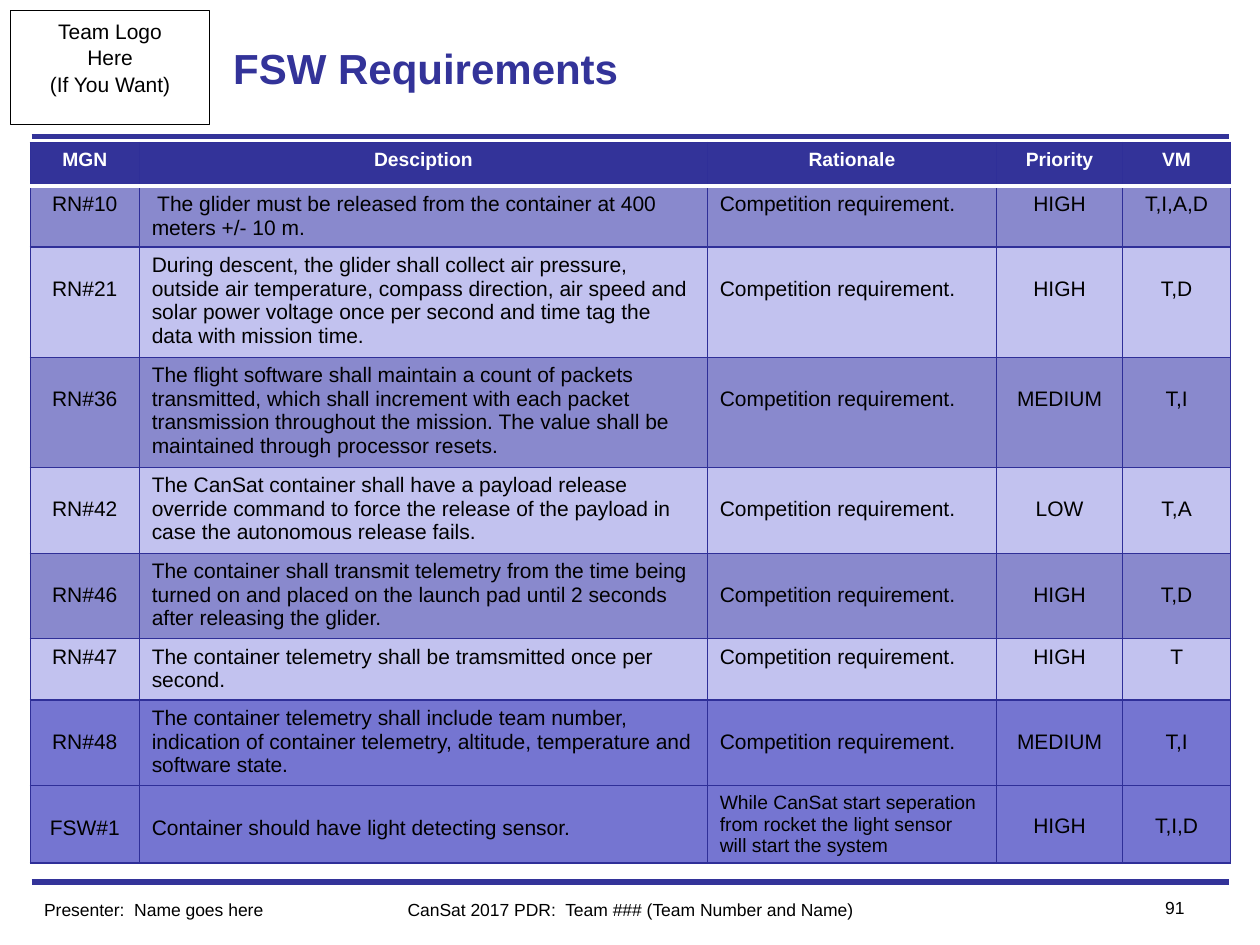
from lxml.etree import SubElement
from pptx import Presentation
from pptx.dml.color import RGBColor
from pptx.enum.shapes import MSO_CONNECTOR as Connector, MSO_SHAPE as Shape
from pptx.enum.text import MSO_ANCHOR as Anchor, MSO_AUTO_SIZE as AutoSize, PP_ALIGN as Align
from pptx.oxml.ns import qn
from pptx.util import Cm, Pt

NAVY = RGBColor(0x33, 0x33, 0x99)
GRID = RGBColor(0x2F, 0x2F, 0x98)
MID = RGBColor(0x89, 0x89, 0xCD)
LIGHT = RGBColor(0xC2, 0xC2, 0xEF)
DEEP = RGBColor(0x75, 0x75, 0xD1)
WHITE = RGBColor(0xFF, 0xFF, 0xFF)
BLACK = RGBColor(0, 0, 0)

COLUMN_WIDTHS = (2.2, 11.45, 5.83, 2.54, 2.18)
HEADINGS = ("MGN", "Desciption", "Rationale", "Priority", "VM")
COMPETITION = "Competition requirement."

# Size of the line left free above the text, per column
TOP = (0, 0, 0, 0, 0)
BESIDE = (12, 0, 12, 12, 12)
LAST = (12, 12, 0, 11, 11)

# Row height, fill, free lines, cell texts
REQUIREMENTS = (
    (1.23, MID, TOP, ("RN#10", " The glider must be released from the container at 400 "
     "meters +/- 10 m.", COMPETITION, "HIGH", "T,I,A,D")),
    (2.22, LIGHT, BESIDE, ("RN#21", "During descent, the glider shall collect air pressure, "
     "outside air temperature, compass direction, air speed and solar power voltage once per "
     "second and time tag the data with mission time.", COMPETITION, "HIGH", "T,D")),
    (2.22, MID, BESIDE, ("RN#36", "The flight software shall maintain a count of packets "
     "transmitted, which shall increment with each packet transmission throughout the mission. "
     "The value shall be maintained through processor resets.", COMPETITION, "MEDIUM", "T,I")),
    (1.73, LIGHT, BESIDE, ("RN#42", "The CanSat container shall have a payload release override "
     "command to force the release of the payload in case the autonomous release fails.",
     COMPETITION, "LOW", "T,A")),
    (1.73, MID, BESIDE, ("RN#46", "The container shall transmit telemetry from the time being "
     "turned on and placed on the launch pad until 2 seconds after releasing the glider.",
     COMPETITION, "HIGH", "T,D")),
    (1.23, LIGHT, TOP, ("RN#47", "The container telemetry shall be tramsmitted once per second.",
     COMPETITION, "HIGH", "T")),
    (1.73, DEEP, BESIDE, ("RN#48", "The container telemetry shall include team number, "
     "indication of container telemetry, altitude, temperature and software state.",
     COMPETITION, "MEDIUM", "T,I")),
    (1.55, DEEP, LAST, ("FSW#1", "Container should have light detecting sensor.",
     "While CanSat start seperation from rocket the light sensor will start the system",
     "HIGH", "T,I,D")),
)


def write(frame, lines, size, color=BLACK, bold=False, align=Align.LEFT, spacing=1.0):
    """Fill a text frame with one paragraph per line."""
    font_format = {"name": "Arial", "size": Pt(size), "bold": bold}
    for index, line in enumerate(lines):
        paragraph = frame.paragraphs[0] if index == 0 else frame.add_paragraph()
        paragraph.text = line
        paragraph.alignment = align
        paragraph.line_spacing = spacing
        for name, value in font_format.items():
            setattr(paragraph.font, name, value)
        paragraph.font.color.rgb = color


def set_frame(frame, anchor=Anchor.TOP):
    frame_format = {
        "word_wrap": True, "auto_size": AutoSize.NONE, "vertical_anchor": anchor,
        "margin_left": Cm(0.25), "margin_right": Cm(0.25),
        "margin_top": Cm(0.13), "margin_bottom": Cm(0.13),
    }
    for name, value in frame_format.items():
        setattr(frame, name, value)


def add_rule(slide, left, top, width):
    end = left + width
    rule = slide.shapes.add_connector(Connector.STRAIGHT, Cm(left), Cm(top), Cm(end), Cm(top))
    rule.line.color.rgb = NAVY
    rule.line.width = Pt(3)
    SubElement(rule._element.spPr, qn("a:effectLst"))


def add_label(slide, left, top, width, text, align):
    label = slide.shapes.add_textbox(Cm(left), Cm(top), Cm(width), Cm(0.69))
    set_frame(label.text_frame)
    write(label.text_frame, [text], 10, align=align)


def add_header(slide, left, top, width, height):
    # Team box
    box = slide.shapes.add_shape(Shape.RECTANGLE, Cm(left), Cm(top), Cm(4.02), Cm(height))
    box.shadow.inherit = False
    box.fill.background()
    box.line.color.rgb = BLACK
    box.line.width = Pt(0.75)
    set_frame(box.text_frame)
    write(box.text_frame, ["Team Logo", "Here", "(If You Want)"], 12,
          align=Align.CENTER, spacing=1.06)
    # Title
    title = slide.shapes.title
    title_box = {"left": left + 4.24, "top": top, "width": width - 4.24, "height": height}
    for name, value in title_box.items():
        setattr(title, name, Cm(value))
    set_frame(title.text_frame, Anchor.MIDDLE)
    write(title.text_frame, ["FSW Requirements"], 24, NAVY, bold=True)


def add_borders(cell, **edges):
    """Draw the cell's edges; this has to come before its fill."""
    properties = cell._tc.get_or_add_tcPr()
    for side in "LRTB":
        color, points = edges.get(side, (GRID, 0.75))
        line = SubElement(properties, qn(f"a:ln{side}"), w=str(int(Pt(points))))
        SubElement(SubElement(line, qn("a:solidFill")), qn("a:srgbClr"), val=str(color))


def format_cell(cell, fill, free_line=0, **edges):
    add_borders(cell, **edges)
    cell.fill.solid()
    cell.fill.fore_color.rgb = fill
    cell.vertical_anchor = Anchor.TOP
    cell.margin_left = cell.margin_right = Cm(0.25)
    cell.margin_top = Cm(0.13 + 0.04 * free_line)
    cell.margin_bottom = Cm(0.13)


def add_requirements(slide, left, top, width, header_height):
    height = header_height + sum(row[0] for row in REQUIREMENTS)
    table = slide.shapes.add_table(len(REQUIREMENTS) + 1, len(HEADINGS), Cm(left), Cm(top),
                                   Cm(width), Cm(height)).table
    for column, share in zip(table.columns, COLUMN_WIDTHS):
        column.width = Cm(width * share / sum(COLUMN_WIDTHS))
    # Heading row
    divider = (WHITE, 2)
    table.rows[0].height = Cm(header_height)
    for cell, heading in zip(table.rows[0].cells, HEADINGS):
        format_cell(cell, NAVY, B=divider)
        write(cell.text_frame, [heading], 11, WHITE, bold=True, align=Align.CENTER)
    # Requirement rows
    for number, (row_height, fill, free_lines, texts) in enumerate(REQUIREMENTS, 1):
        table.rows[number].height = Cm(row_height)
        edges = {"T": divider} if number == 1 else {}
        for column, (text, free_line) in enumerate(zip(texts, free_lines)):
            cell = table.cell(number, column)
            format_cell(cell, fill, free_line, **edges)
            size = 11 if column == 2 and text != COMPETITION else 12
            align = Align.LEFT if column in (1, 2) else Align.CENTER
            write(cell.text_frame, [text], size, align=align)


def add_footer(slide, left, top, width):
    add_label(slide, left, top, 6.35, "Presenter:  Name goes here", Align.LEFT)
    add_label(slide, left + (width - 10.16) / 2, top, 10.16,
              "CanSat 2017 PDR:  Team ### (Team Number and Name)", Align.CENTER)
    add_label(slide, left + width - 2.54, top - 0.03, 1.9, "91", Align.RIGHT)


def main():
    presentation = Presentation()
    presentation.slide_width, presentation.slide_height = Cm(25.4), Cm(19.05)
    slide = presentation.slides.add_slide(presentation.slide_layouts[5])
    for rule_top in (2.75, 17.78):
        add_rule(slide, 0.64, rule_top, 24.13)
    add_header(slide, 0.21, 0.21, 20.74, 2.3)
    add_requirements(slide, 0.61, 2.87, 24.2, 0.88)
    add_footer(slide, 0.64, 17.99, 24.13)
    presentation.save("out.pptx")


if __name__ == "__main__":
    main()
